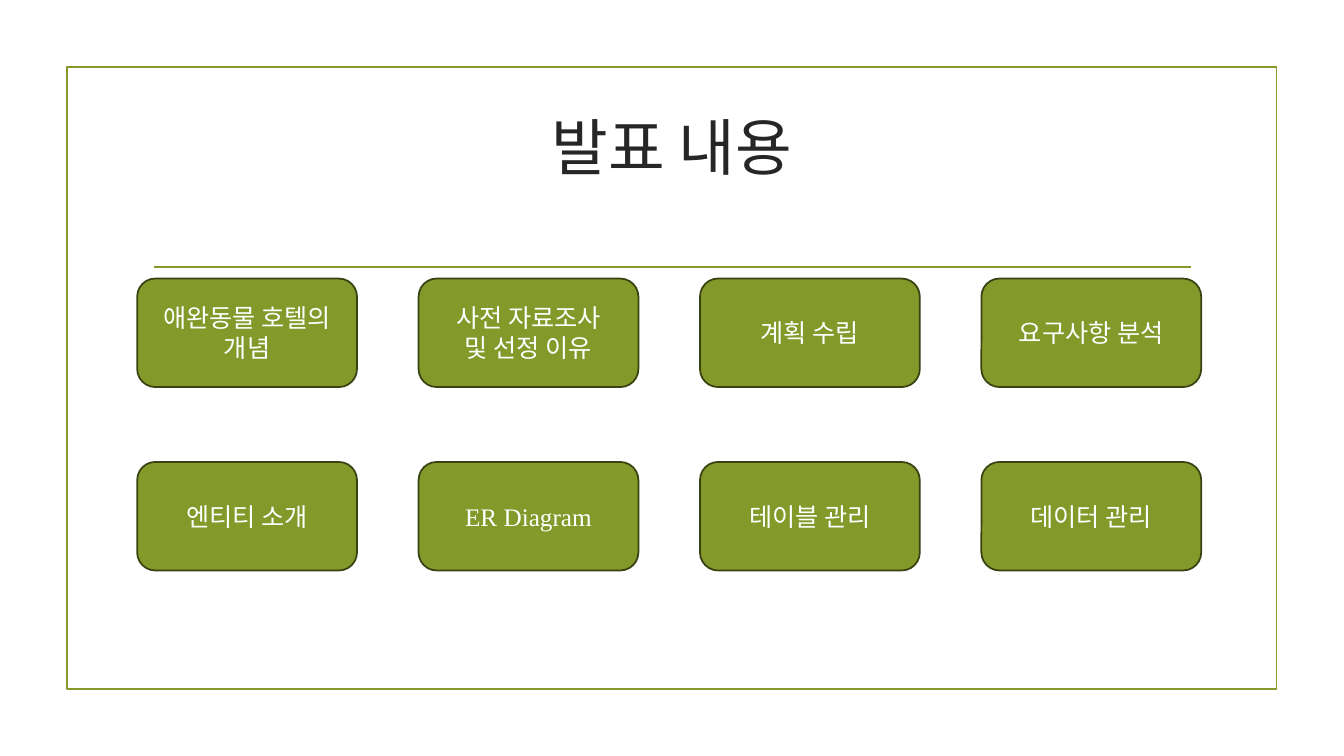
import pptx
import pptx.util
import pptx.dml.color
import pptx.enum.shapes
import pptx.enum.text
import pptx.oxml.ns
import lxml.etree

Pt = pptx.util.Pt
COLORS = {"green": "83992A", "dark_green": "394312", "title": "262626", "white": "FFFFFF"}
KOREAN_FONT = "Noto Sans CJK KR"
LATIN_FONT = "Times New Roman"
TOPICS = [
    ["애완동물 호텔의\n개념", "사전 자료조사\n및 선정 이유", "계획 수립", "요구사항 분석"],
    ["엔티티 소개", "ER Diagram", "테이블 관리", "데이터 관리"],
]


def rgb(name):
    return pptx.dml.color.RGBColor.from_string(COLORS[name])


def write_centered(shape, text, size, color, latin_font):
    """Fill a shape with centred text, using the Korean font for Hangul."""
    frame = shape.text_frame
    frame.word_wrap = True
    frame.vertical_anchor = pptx.enum.text.MSO_ANCHOR.MIDDLE
    frame.text = text
    for paragraph in frame.paragraphs:
        paragraph.alignment = pptx.enum.text.PP_ALIGN.CENTER
        paragraph.font.size = Pt(size)
        paragraph.font.color.rgb = rgb(color)
        paragraph.font.name = latin_font
        properties = paragraph._p.pPr.find(pptx.oxml.ns.qn("a:defRPr"))
        east_asian = lxml.etree.SubElement(properties, pptx.oxml.ns.qn("a:ea"))
        east_asian.set("typeface", KOREAN_FONT)


presentation = pptx.Presentation()
presentation.slide_width = Pt(960)
presentation.slide_height = Pt(540)
slide = presentation.slides.add_slide(presentation.slide_layouts[6])

border = slide.shapes.add_shape(
    pptx.enum.shapes.MSO_SHAPE.RECTANGLE, Pt(47.8), Pt(48), Pt(864), Pt(444))
border.shadow.inherit = False
border.fill.background()
border.line.color.rgb = rgb("green")
border.line.width = Pt(1.25)

divider = slide.shapes.add_connector(
    pptx.enum.shapes.MSO_CONNECTOR.STRAIGHT, Pt(110), Pt(190.8), Pt(850.5), Pt(190.8))
divider.line.color.rgb = rgb("green")
divider.line.width = Pt(1.25)
lxml.etree.SubElement(divider._element.spPr, pptx.oxml.ns.qn("a:effectLst"))

title = slide.shapes.add_textbox(Pt(102), Pt(52.8), Pt(756), Pt(103))
write_centered(title, "발표 내용", 44, "title", KOREAN_FONT)

for row, topics in enumerate(TOPICS):
    for column, topic in enumerate(topics):
        box = slide.shapes.add_shape(
            pptx.enum.shapes.MSO_SHAPE.FLOWCHART_ALTERNATE_PROCESS,
            Pt(98 + 201 * column), Pt(199 + 131 * row), Pt(157), Pt(77.5))
        box.shadow.inherit = False
        box.fill.solid()
        box.fill.fore_color.rgb = rgb("green")
        box.line.color.rgb = rgb("dark_green")
        box.line.width = Pt(1.25)
        write_centered(box, topic, 18, "white", LATIN_FONT)

presentation.save("out.pptx")
